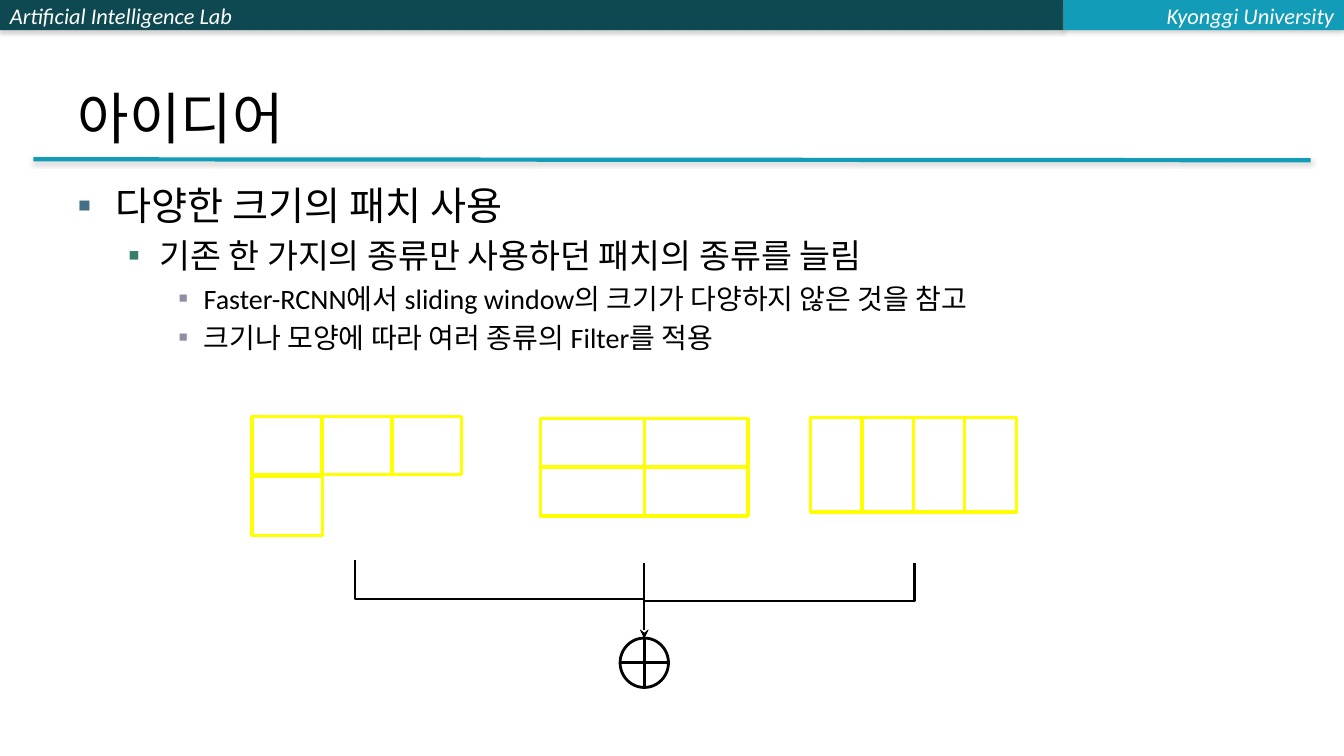
from dataclasses import dataclass

import lxml.etree
import pptx
import pptx.dml.color
import pptx.enum.shapes
import pptx.enum.text
import pptx.oxml.ns
import pptx.util

Inches = pptx.util.Inches
Pt = pptx.util.Pt
qn = pptx.oxml.ns.qn
Shapes = pptx.enum.shapes.MSO_SHAPE
Connectors = pptx.enum.shapes.MSO_CONNECTOR
Align = pptx.enum.text.PP_ALIGN
Anchor = pptx.enum.text.MSO_ANCHOR

COLORS = {
    "dark teal": "0E4851", "teal": "139CB7", "white": "FFFFFF", "black": "000000",
    "patch": "FFFF00", "shadow": "808080",
    "bullet 1": "437085", "bullet 2": "357E69", "bullet 3": "918BA3",
}


@dataclass
class Band:
    text: str
    left: float
    width: float
    color: str
    align: Align


@dataclass
class Level:
    size: float
    indent: float
    hanging: float
    before: float
    bullet: str


@dataclass
class PatchGroup:
    left: float
    top: float
    width: float
    height: float
    pitch_x: float
    pitch_y: float
    cells: list[tuple[int, int]]


BANDS = [
    Band("Artificial Intelligence Lab", 0, 10.55, "dark teal", Align.LEFT),
    Band("Kyonggi University", 10.55, 2.78, "teal", Align.RIGHT),
]
LEVELS = [
    Level(28, 0.38, 0.38, 0, "bullet 1"),
    Level(24, 0.81, 0.31, 4.8, "bullet 2"),
    Level(20, 1.25, 0.25, 4, "bullet 3"),
]
IDEAS = [
    (0, "다양한 크기의 패치 사용"),
    (1, "기존 한 가지의 종류만 사용하던 패치의 종류를 늘림"),
    (2, "Faster-RCNN에서 sliding window의 크기가 다양하지 않은 것을 참고"),
    (2, "크기나 모양에 따라 여러 종류의 Filter를 적용"),
]
PATCH_GROUPS = [
    PatchGroup(2.5, 4.13, 0.7, 0.58, 0.69, 0.6, [(0, 0), (1, 0), (2, 0), (0, 1)]),
    PatchGroup(5.36, 4.15, 1.03, 0.49, 1.03, 0.48, [(0, 0), (1, 0), (0, 1), (1, 1)]),
    PatchGroup(8.04, 4.14, 0.51, 0.94, 0.51, 0, [(0, 0), (1, 0), (2, 0), (3, 0)]),
]
MERGE = (6.39, 6.33)
BRANCH_STARTS = [(3.52, 5.56), (9.07, 5.59), (6.39, 5.59)]


def rgb(name: str) -> pptx.dml.color.RGBColor:
    return pptx.dml.color.RGBColor.from_string(COLORS[name])


def write(paragraph, text: str, *, size: float, color: str = "black",
          italic: bool = False, align: Align = Align.LEFT) -> None:
    run = paragraph.add_run()
    run.text = text
    run.font.name = "Calibri"
    run.font.size = Pt(size)
    run.font.italic = italic
    run.font.color.rgb = rgb(color)
    paragraph.alignment = align


def add_outline(slide, kind, left: float, top: float, width: float, height: float,
                color: str, weight: float):
    shape = slide.shapes.add_shape(kind, Inches(left), Inches(top),
                                   Inches(width), Inches(height))
    shape.shadow.inherit = False
    shape.fill.background()
    shape.line.color.rgb = rgb(color)
    shape.line.width = Pt(weight)
    return shape


def add_line(slide, kind, start: tuple[float, float], end: tuple[float, float],
             color: str, weight: float):
    line = slide.shapes.add_connector(kind, *(Inches(v) for v in (*start, *end)))
    line.line.color.rgb = rgb(color)
    line.line.width = Pt(weight)
    lxml.etree.SubElement(line._element.spPr, qn("a:effectLst"))
    return line


def cast_shadow(shape, alpha: int, distance: float) -> None:
    effects = shape._element.spPr.find(qn("a:effectLst"))
    shadow = lxml.etree.SubElement(
        effects, qn("a:outerShdw"), blurRad=str(Pt(3.1)), dist=str(Pt(distance)),
        dir="5400000", rotWithShape="0")
    tint = lxml.etree.SubElement(shadow, qn("a:srgbClr"), val=COLORS["shadow"])
    lxml.etree.SubElement(tint, qn("a:alpha"), val=str(alpha * 1000))


def add_band(slide, band: Band) -> None:
    bar = add_outline(slide, Shapes.RECTANGLE, band.left, 0, band.width, 0.3,
                      band.color, 1)
    bar.line.fill.background()
    bar.fill.solid()
    bar.fill.fore_color.rgb = rgb(band.color)
    cast_shadow(bar, 35, 1.8)
    bar.text_frame.vertical_anchor = Anchor.MIDDLE
    write(bar.text_frame.paragraphs[0], band.text, size=16, color="white",
          italic=True, align=band.align)


def place(holder, left: float, top: float, width: float, height: float,
          anchor: Anchor):
    holder.left, holder.top = Inches(left), Inches(top)
    holder.width, holder.height = Inches(width), Inches(height)
    frame = holder.text_frame
    frame.word_wrap = True
    frame.auto_size = pptx.enum.text.MSO_AUTO_SIZE.NONE
    frame.vertical_anchor = anchor
    return frame


def add_idea(paragraph, depth: int, text: str) -> None:
    level = LEVELS[depth]
    paragraph.level = depth
    props = paragraph._p.get_or_add_pPr()
    props.set("marL", str(Inches(level.indent)))
    props.set("indent", str(-Inches(level.hanging)))
    tint = lxml.etree.SubElement(props, qn("a:buClr"))
    lxml.etree.SubElement(tint, qn("a:srgbClr"), val=COLORS[level.bullet])
    lxml.etree.SubElement(props, qn("a:buFont"), typeface="Calibri")
    lxml.etree.SubElement(props, qn("a:buChar"), char="▪")
    paragraph.space_before = Pt(level.before)
    write(paragraph, text, size=level.size)


def add_branch(slide, start: tuple[float, float], end: tuple[float, float]) -> None:
    """Elbow arrow that leaves downwards, runs sideways and ends downwards."""
    branch = add_line(slide, Connectors.ELBOW, start, end, "black", 1.5)
    span, drop = abs(end[0] - start[0]), end[1] - start[1]
    leftward = end[0] < start[0]
    # The frame is turned a quarter about its centre, so its sides swap
    branch.left = Inches((start[0] + end[0] - drop) / 2)
    branch.top = Inches((start[1] + end[1] - span) / 2)
    branch.width, branch.height = Inches(drop), Inches(span)
    frame = branch._element.spPr.find(qn("a:xfrm"))
    frame.set("rot", str((90 if leftward else 270) * 60000))
    frame.set("flipH", "0" if leftward else "1")
    lxml.etree.SubElement(branch.line._get_or_add_ln(), qn("a:tailEnd"), type="stealth")


def main() -> None:
    deck = pptx.Presentation()
    deck.slide_width, deck.slide_height = Inches(13.33), Inches(7.5)
    slide = deck.slides.add_slide(deck.slide_layouts[1])

    # Header bands and title rule
    for band in BANDS:
        add_band(slide, band)
    rule = add_line(slide, Connectors.STRAIGHT, (0.33, 1.58), (13, 1.59), "teal", 3)
    cast_shadow(rule, 38, 1.6)

    # Title and ideas
    heading = place(slide.shapes.title, 0.67, 0.3, 12, 1.25, Anchor.BOTTOM)
    write(heading.paragraphs[0], "아이디어", size=40)
    ideas = place(slide.placeholders[1], 0.67, 1.75, 12, 5.42, Anchor.TOP)
    for index, (depth, text) in enumerate(IDEAS):
        add_idea(ideas.add_paragraph() if index else ideas.paragraphs[0], depth, text)

    # Patches of different shapes
    for group in PATCH_GROUPS:
        for column, row in group.cells:
            add_outline(slide, Shapes.RECTANGLE, group.left + column * group.pitch_x,
                        group.top + row * group.pitch_y, group.width, group.height,
                        "patch", 2.25)

    # Branches merging into the sum
    add_outline(slide, Shapes.FLOWCHART_OR, 6.15, MERGE[1], 0.48, 0.49, "black", 2)
    for start in BRANCH_STARTS:
        add_branch(slide, start, MERGE)

    deck.save("out.pptx")


if __name__ == "__main__":
    main()
